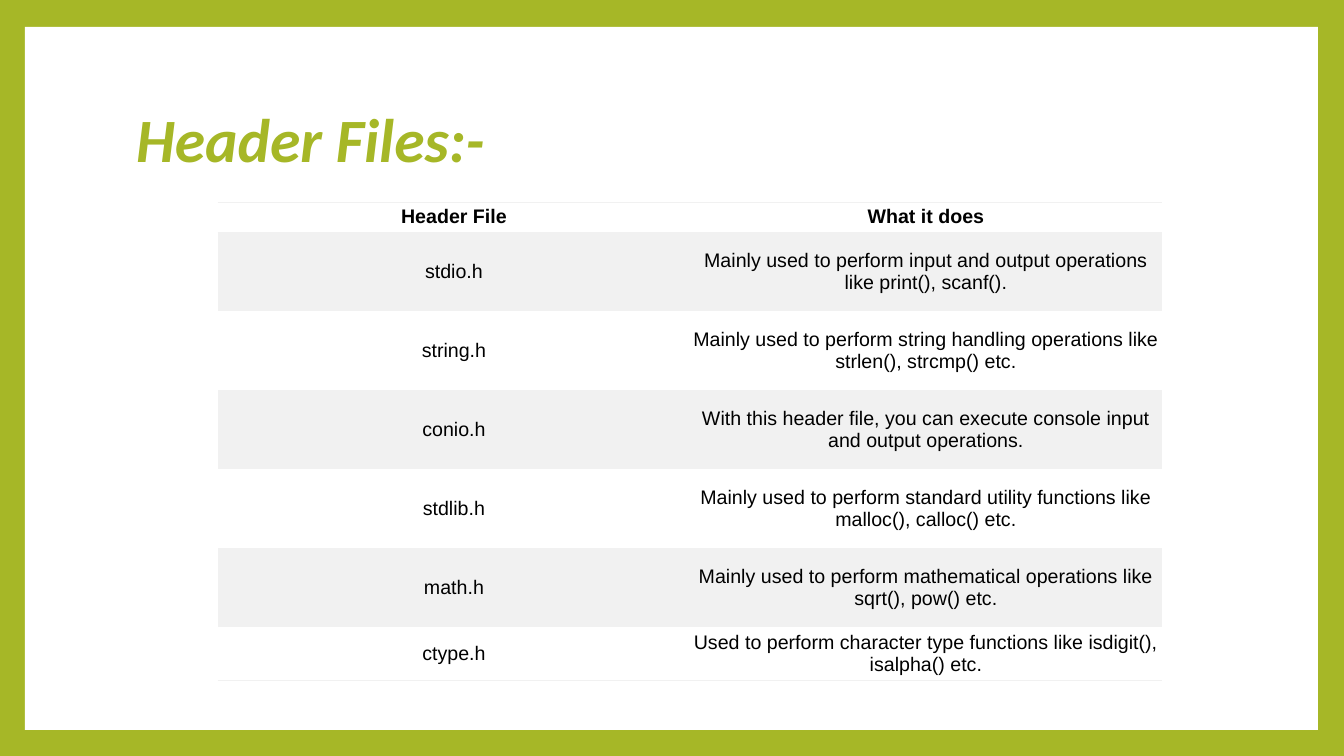
import dataclasses

import lxml.etree
import pptx
import pptx.dml.color
import pptx.enum.shapes
import pptx.enum.text
import pptx.oxml.ns
import pptx.util

EMU_PER_PX = 914400 / 100.8
GREEN = "A6B727"
WHITE = "FFFFFF"
BLACK = "000000"
GREY = "F1F1F1"
PLAIN_TABLE_STYLE = "{2D5ABB26-0587-4C30-8999-92F81FD0307C}"


@dataclasses.dataclass(frozen=True)
class Area:
    left: int
    top: int
    width: int
    height: int


@dataclasses.dataclass(frozen=True)
class HeaderRow:
    name: str
    purpose: str
    height: int = 79
    bold: bool = False
    fill: str = WHITE
    edges: tuple[str, ...] = ()


PANEL = Area(25, 27, 1293, 703)
TITLE = Area(126, 68, 1089, 149)
COLUMN_WIDTH = 472
ROWS = [
    HeaderRow("Header File", "What it does", height=30, bold=True, edges=("lnB", "lnT")),
    HeaderRow("stdio.h", "Mainly used to perform input and output operations like print(), scanf().", fill=GREY),
    HeaderRow("string.h", "Mainly used to perform string handling operations like strlen(), strcmp() etc."),
    HeaderRow("conio.h", "With this header file, you can execute console input and output operations.", fill=GREY),
    HeaderRow("stdlib.h", "Mainly used to perform standard utility functions like malloc(), calloc() etc."),
    HeaderRow("math.h", "Mainly used to perform mathematical operations like sqrt(), pow() etc.", fill=GREY),
    HeaderRow("ctype.h", "Used to perform character type functions like isdigit(), isalpha() etc.", height=54, edges=("lnB",)),
]
TABLE = Area(218, 202, 2 * COLUMN_WIDTH, sum(row.height for row in ROWS))


def px(length: int) -> pptx.util.Emu:
    return pptx.util.Emu(round(length * EMU_PER_PX))


def bounds(area: Area) -> tuple[pptx.util.Emu, ...]:
    return tuple(px(length) for length in dataclasses.astuple(area))


def color(code: str) -> pptx.dml.color.RGBColor:
    return pptx.dml.color.RGBColor.from_string(code)


def paint(fill, code: str) -> None:
    fill.solid()
    fill.fore_color.rgb = color(code)


def write(frame, text: str, *, font: str, size: int, ink: str, bold: bool = False,
          italic: bool = False, align=pptx.enum.text.PP_ALIGN.LEFT, spacing: float = 1.0) -> None:
    para = frame.paragraphs[0]
    para.alignment = align
    para.line_spacing = spacing
    span = para.add_run()
    span.text = text
    span.font.name = font
    span.font.size = pptx.util.Pt(size)
    span.font.bold = bold
    span.font.italic = italic
    span.font.color.rgb = color(ink)


def add_edge(cell, edge: str) -> None:
    properties = cell._tc.get_or_add_tcPr()
    line = lxml.etree.Element(pptx.oxml.ns.qn(f"a:{edge}"), w=str(pptx.util.Pt(0.6)))
    fill = lxml.etree.SubElement(line, pptx.oxml.ns.qn("a:solidFill"))
    lxml.etree.SubElement(fill, pptx.oxml.ns.qn("a:srgbClr"), val=GREY)
    properties.insert(0, line)


def add_title(page) -> None:
    title = page.shapes.title
    title.left, title.top, title.width, title.height = bounds(TITLE)
    title.text_frame.vertical_anchor = pptx.enum.text.MSO_ANCHOR.MIDDLE
    write(title.text_frame, "Header Files:-", font="Calibri", size=44, ink=GREEN,
          bold=True, italic=True, spacing=0.9)


def add_panel(page) -> None:
    panel = page.shapes.add_shape(pptx.enum.shapes.MSO_SHAPE.RECTANGLE, *bounds(PANEL))
    panel.shadow.inherit = False
    paint(panel.fill, WHITE)
    panel.line.fill.background()
    page.shapes.title.element.addprevious(panel.element)


def fill_cell(cell, text: str, row: HeaderRow) -> None:
    cell.margin_left = cell.margin_right = cell.margin_top = cell.margin_bottom = px(3)
    cell.vertical_anchor = pptx.enum.text.MSO_ANCHOR.MIDDLE
    paint(cell.fill, row.fill)
    for edge in row.edges:
        add_edge(cell, edge)
    write(cell.text_frame, text, font="Arial", size=14, ink=BLACK, bold=row.bold,
          align=pptx.enum.text.PP_ALIGN.CENTER)


def add_header_table(page) -> None:
    table = page.shapes.add_table(len(ROWS), 2, *bounds(TABLE)).table
    table.horz_banding = False
    table._tbl.tblPr.find(pptx.oxml.ns.qn("a:tableStyleId")).text = PLAIN_TABLE_STYLE
    for column in table.columns:
        column.width = px(COLUMN_WIDTH)
    for row, table_row in zip(ROWS, table.rows):
        table_row.height = px(row.height)
        for cell, text in zip(table_row.cells, (row.name, row.purpose)):
            fill_cell(cell, text, row)


def main() -> None:
    deck = pptx.Presentation()
    deck.slide_width, deck.slide_height = px(1344), px(756)
    page = deck.slides.add_slide(deck.slide_layouts.get_by_name("Title Only"))
    paint(page.background.fill, GREEN)
    add_title(page)
    add_panel(page)
    add_header_table(page)
    deck.save("out.pptx")


if __name__ == "__main__":
    main()
